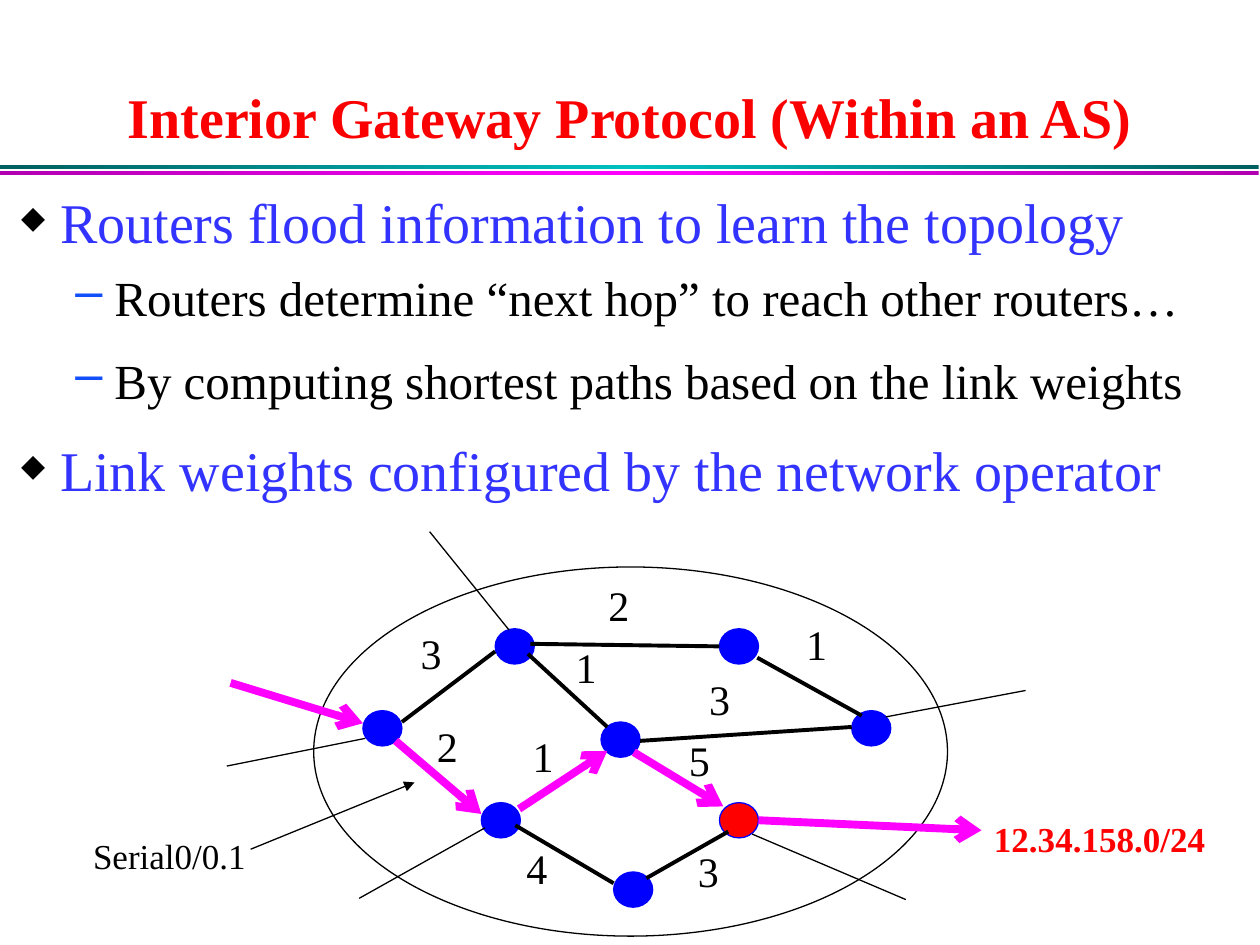
"""Build the slide on interior gateway routing with its weighted router graph."""
from copy import deepcopy

from lxml.etree import SubElement
from pptx import Presentation
from pptx.dml.color import RGBColor
from pptx.enum.shapes import MSO_CONNECTOR as LINK, MSO_SHAPE as SHAPE
from pptx.enum.text import MSO_ANCHOR as ANCHOR, MSO_AUTO_SIZE as FIT, PP_ALIGN as ALIGN
from pptx.oxml.ns import qn
from pptx.util import Inches, Pt

BLACK, BLUE, RED, MAGENTA = "000000", "0000FF", "FF0000", "FF00FF"


def colour(value):
    return RGBColor.from_string(value)


def write(paragraph, text, size=24, tint=BLACK, bold=False, align=ALIGN.LEFT):
    paragraph.alignment = align
    run = paragraph.add_run()
    run.text = text
    run.font.name = "Times New Roman"
    run.font.size = Pt(size)
    run.font.bold = bold
    run.font.color.rgb = colour(tint)


deck = Presentation()
deck.slide_width, deck.slide_height = Inches(10), Inches(7.5)
col, row = deck.slide_width / 100, deck.slide_height / 75
slide = deck.slides.add_slide(deck.slide_layouts[5])
shapes = slide.shapes

for top, edge, middle in [(13.1, "005F5F", "00C0C0"), (13.6, "B100B1", MAGENTA)]:
    band = shapes.add_shape(SHAPE.RECTANGLE, 0, int(top * row), int(99.9 * col), int(0.3 * row))
    band.shadow.inherit = False
    band.line.fill.background()
    band.fill.gradient()
    band.fill.gradient_angle = 0
    outer, inner = band.fill.gradient_stops
    outer.position, inner.position = 0, 0.5
    outer.color.rgb, inner.color.rgb = colour(edge), colour(middle)
    stops = band._element.xpath(".//a:gsLst")[0]
    last = deepcopy(stops[0])
    last.set("pos", "100000")
    stops.append(last)

title = shapes.title
title.left, title.top = int(1.1 * col), int(6.2 * row)
title.width, title.height = int(97.8 * col), int(6.2 * row)
title.text_frame.vertical_anchor = ANCHOR.BOTTOM
write(title.text_frame.paragraphs[0], "Interior Gateway Protocol (Within an AS)",
      size=32, tint="FA0000", bold=True, align=ALIGN.CENTER)

body = shapes.add_textbox(0, int(14.4 * row), int(98.9 * col), int(27 * row)).text_frame
body.word_wrap = True
points = [
    (0, "Routers flood information to learn the topology"),
    (1, "Routers determine “next hop” to reach other routers…"),
    (1, "By computing shortest paths based on the link weights"),
    (0, "Link weights configured by the network operator"),
]
levels = [
    dict(margin=0.38, hang=0.31, before=8, after=0, mark="◆", mark_tint=BLACK, mark_size=56, size=32, tint="3333FF"),
    dict(margin=0.81, hang=0.31, before=7, after=7, mark="–", mark_tint="114FFB", mark_size=100, size=28, tint=BLACK),
]
for index, (level, text) in enumerate(points):
    look = levels[level]
    point = body.add_paragraph() if index else body.paragraphs[0]
    point.level = level
    point.line_spacing = 1.0
    point.space_before = Pt(look["before"] if index else 0)
    point.space_after = Pt(look["after"])
    props = point._p.get_or_add_pPr()
    props.set("marL", str(Inches(look["margin"])))
    props.set("indent", str(-Inches(look["hang"])))
    SubElement(SubElement(props, qn("a:buClr")), qn("a:srgbClr"), val=look["mark_tint"])
    SubElement(props, qn("a:buSzPct"), val=str(look["mark_size"] * 1000))
    SubElement(props, qn("a:buChar"), char=look["mark"])
    write(point, text, size=look["size"], tint=look["tint"])

router = (3.1, 2.8)
ovals = [
    (28.8, 56.4, *router, BLUE, BLUE),
    (38.2, 63.7, *router, BLUE, BLUE),
    (39.3, 49.9, *router, BLUE, BLUE),
    (47.7, 57.3, *router, BLUE, BLUE),
    (57.1, 63.7, *router, RED, BLUE),
    (57.1, 49.9, *router, BLUE, BLUE),
    (48.7, 69.2, *router, BLUE, BLUE),
    (67.6, 56.4, *router, BLUE, BLUE),
    (24.9, 45, 50.3, 29.3, None, BLACK),
]
for x, y, width, height, inside, outline in ovals:
    oval = shapes.add_shape(SHAPE.OVAL, int(x * col), int(y * row), int(width * col), int(height * row))
    oval.shadow.inherit = False
    oval.line.color.rgb = colour(outline)
    oval.line.width = Pt(0.75)
    if inside:
        oval.fill.solid()
        oval.fill.fore_color.rgb = colour(inside)
    else:
        oval.fill.background()

inner_links = [
    (31.9, 57.3, 39.3, 51.7), (41.9, 51.9, 48.2, 57.7), (40.9, 65.5, 48.7, 70.1), (51.3, 69.7, 57.8, 66),
    (50.8, 58.8, 67.6, 57.7), (42.1, 51.1, 57.1, 51.3), (60.1, 52.2, 68.4, 56.8),
]
route = [
    (18.3, 54.2, 28.8, 57.4), (31.4, 58.8, 38.2, 64.6), (41.2, 64.2, 48.2, 59.6),
    (50.3, 59.7, 57.4, 64), (60.2, 65.1, 77.9, 65.9),
]
outer_links = [
    (29, 58.6, 18, 60.8), (59.7, 66.2, 71.9, 71.4), (81.4, 54.8, 70.3, 56.9),
    (34.1, 42.2, 40.4, 50), (38.5, 65.7, 28.5, 71.3),
]
pointer = [(19.9, 67.4, 32.9, 62.1)]
for links, tint, weight, arrow in [
    (inner_links, BLACK, 2.25, None),
    (route, MAGENTA, 4.5, "arrow"),
    (outer_links, BLACK, 0.75, None),
    (pointer, BLACK, 0.75, "triangle"),
]:
    for x1, y1, x2, y2 in links:
        link = shapes.add_connector(LINK.STRAIGHT, int(x1 * col), int(y1 * row), int(x2 * col), int(y2 * row))
        link.line.color.rgb = colour(tint)
        link.line.width = Pt(weight)
        if arrow:
            SubElement(link.line._get_or_add_ln(), qn("a:tailEnd"), type=arrow)
        SubElement(link._element.spPr, qn("a:effectLst"))

digit, caption = (3.6, 5), dict(size=20)
labels = [
    ("3", 32.4, 49.3, *digit, {}),
    ("2", 47.3, 45.5, *digit, {}),
    ("2", 33.7, 56.7, *digit, {}),
    ("1", 44.7, 50.4, *digit, {}),
    ("1", 41.3, 57.5, *digit, {}),
    ("3", 55.3, 53, *digit, {}),
    ("1", 63, 48.6, *digit, {}),
    ("4", 40.8, 66.4, *digit, {}),
    ("5", 53.7, 57.8, *digit, {}),
    ("3", 54.4, 66.6, *digit, {}),
    ("Serial0/0.1", 6.4, 65.7, 14.3, 4.4, caption),
    ("12.34.158.0/24", 77.9, 64.4, 18.8, 4.4, dict(caption, tint=RED, bold=True)),
]
for text, x, y, width, height, look in labels:
    label = shapes.add_textbox(int(x * col), int(y * row), int(width * col), int(height * row)).text_frame
    label.word_wrap = False
    label.auto_size = FIT.SHAPE_TO_FIT_TEXT
    write(label.paragraphs[0], text, **look)

deck.save("out.pptx")
